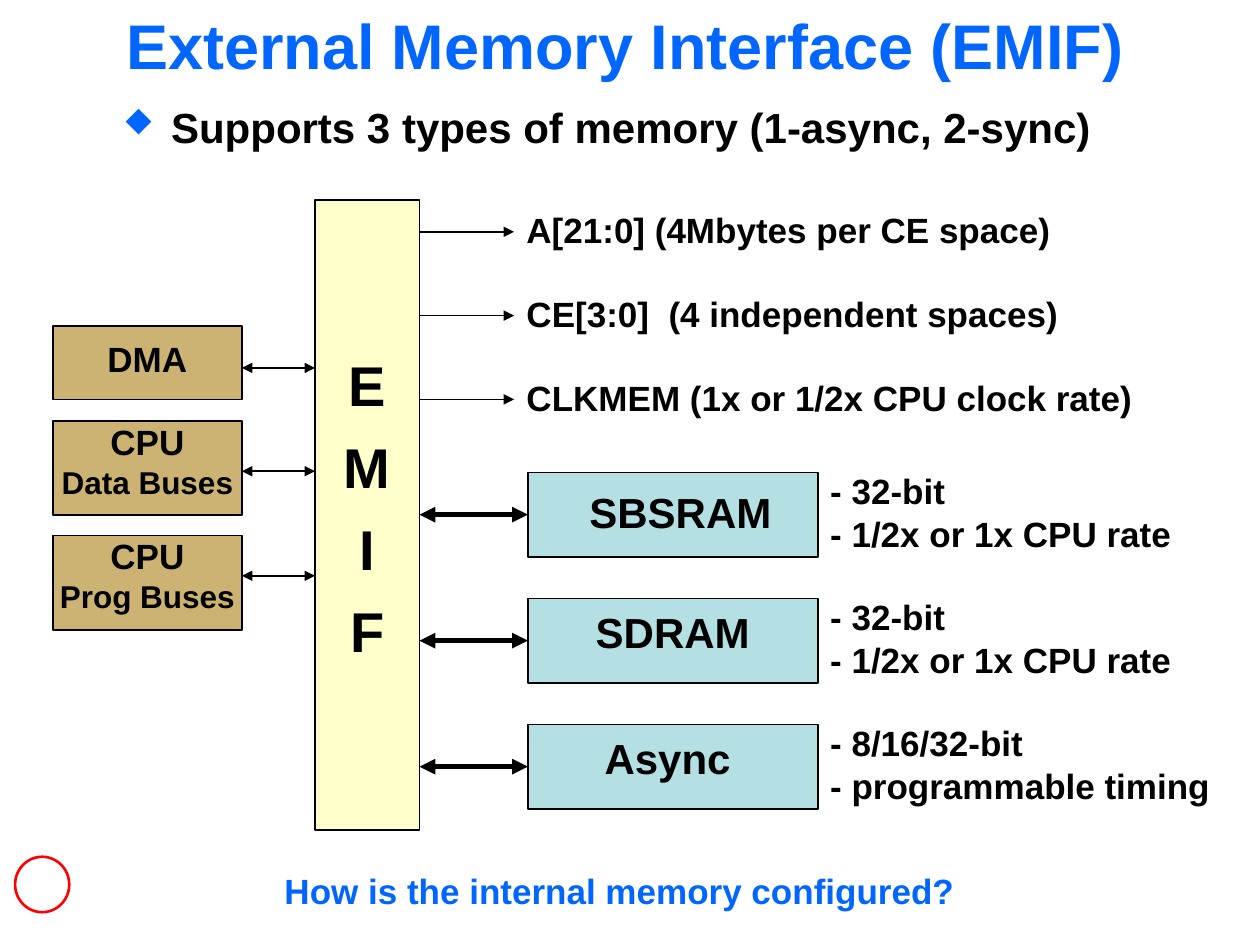
"""Build the External Memory Interface (EMIF) block diagram slide."""
from lxml.etree import SubElement
from pptx import Presentation
from pptx.dml.color import RGBColor
from pptx.enum.shapes import MSO_CONNECTOR as CONN, MSO_SHAPE as SHAPE
from pptx.enum.text import MSO_ANCHOR as ANCHOR, MSO_AUTO_SIZE as FIT, PP_ALIGN as ALIGN
from pptx.oxml.ns import qn
from pptx.util import Inches, Pt

BLUE = RGBColor(0x00, 0x66, 0xFF)
BLACK = RGBColor(0x00, 0x00, 0x00)
WHITE = RGBColor(0xFF, 0xFF, 0xFF)
RED = RGBColor(0xFF, 0x00, 0x00)
TAN = RGBColor(0xCC, 0xB3, 0x74)
CREAM = RGBColor(0xFF, 0xFF, 0xCC)
AQUA = RGBColor(0xB5, 0xE0, 0xE3)

TITLE = "External Memory Interface (EMIF)"
POINT = "Supports 3 types of memory (1-async, 2-sync)"
QUESTION = "How is the internal memory configured?"
BUSES = [
    (["DMA"], 2.59, 0.58, 2.92),
    (["CPU", "Data Buses"], 3.34, 0.75, 3.74),
    (["CPU", "Prog Buses"], 4.25, 0.75, 4.57),
]
SIGNALS = [
    ("A[21:0] (4Mbytes per CE space)", 4.46),
    ("CE[3:0]  (4 independent spaces)", 4.52),
    ("CLKMEM (1x or 1/2x CPU clock rate)", 5.11),
]
MEMORIES = [
    ("SBSRAM", 4.58, 0.14, 1.8, ["- 32-bit", "- 1/2x or 1x CPU rate"], 3.05),
    ("SDRAM", 4.63, 0.09, 1.6, ["- 32-bit", "- 1/2x or 1x CPU rate"], 3.05),
    ("Async", 4.7, 0.09, 1.4, ["- 8/16/32-bit", "- programmable timing"], 3.35),
]

BUS_LEFT, BUS_WIDTH = 0.42, 1.5
EMIF_LEFT, EMIF_TOP, EMIF_WIDTH, EMIF_HEIGHT = 2.5, 1.59, 0.83, 5
EMIF_RIGHT = EMIF_LEFT + EMIF_WIDTH
SIGNAL_LEFT, SIGNAL_TOP, SIGNAL_STEP = 4.08, 1.67, 0.665
MEM_LEFT, MEM_TOP, MEM_WIDTH, MEM_HEIGHT, MEM_STEP = 4.19, 3.75, 2.3, 0.67, 1


def write(sp, lines, sizes=(20,), color=BLACK, align=ALIGN.LEFT, spacing=0.8,
          before=0.625, anchor=ANCHOR.TOP, wrap=False, fit=FIT.NONE):
    tf = sp.text_frame
    tf.word_wrap, tf.auto_size, tf.vertical_anchor = wrap, fit, anchor
    for i, text in enumerate(lines):
        p = tf.paragraphs[0] if i == 0 else tf.add_paragraph()
        size = sizes[min(i, len(sizes) - 1)]
        p.alignment, p.line_spacing = align, spacing
        p.space_before = Pt(size * before)
        r = p.add_run()
        r.text = text
        r.font.name, r.font.size, r.font.bold = "Arial", Pt(size), True
        r.font.color.rgb = color
    return tf


def label(s, lines, left, top, width, height, **fmt):
    sp = s.shapes.add_textbox(*map(Inches, (left, top, width, height)))
    return write(sp, lines, wrap=True, **fmt)


def block(s, left, top, width, height, fill, line=BLACK, weight=1, kind=SHAPE.RECTANGLE):
    sp = s.shapes.add_shape(kind, *map(Inches, (left, top, width, height)))
    sp.shadow.inherit = False
    sp.fill.solid()
    sp.fill.fore_color.rgb = fill
    sp.line.color.rgb = line
    sp.line.width = Pt(weight)
    return sp


def arrow(s, x1, x2, y, weight=1, ends=("a:headEnd", "a:tailEnd")):
    cx = s.shapes.add_connector(CONN.STRAIGHT, *map(Inches, (x1, y, x2, y)))
    cx.line.color.rgb = BLACK
    cx.line.width = Pt(weight)
    for end in ends:
        SubElement(cx.line._get_or_add_ln(), qn(end), type="triangle")
    SubElement(cx._element.spPr, qn("a:effectLst"))
    return cx


def add_bullet(p, char, font, color):
    pPr = p._p.get_or_add_pPr()
    pPr.set("marL", str(Inches(0.38)))
    pPr.set("indent", str(-Inches(0.38)))
    SubElement(SubElement(pPr, qn("a:buClr")), qn("a:srgbClr"), val=str(color))
    SubElement(pPr, qn("a:buSzPct"), val="75000")
    SubElement(pPr, qn("a:buFont"), typeface=font, charset="2")
    SubElement(pPr, qn("a:buChar"), char=char)


def main():
    prs = Presentation()
    prs.slide_width, prs.slide_height = Inches(10), Inches(7.5)
    s = prs.slides.add_slide(prs.slide_layouts[6])

    tf = label(s, [TITLE], 0, 0, 9.92, 0.83, sizes=(36,), color=BLUE,
               align=ALIGN.CENTER, spacing=0.75, before=0, anchor=ANCHOR.MIDDLE)
    tf.margin_left = tf.margin_right = Inches(0.05)
    tf = label(s, [POINT], 0.88, 0.83, 8.1, 0.42, sizes=(24,))
    add_bullet(tf.paragraphs[0], "u", "Wingdings", BLUE)

    for lines, top, height, arrow_y in BUSES:
        sp = block(s, BUS_LEFT, top, BUS_WIDTH, height, TAN)
        write(sp, lines, sizes=(20, 18), align=ALIGN.CENTER, anchor=ANCHOR.MIDDLE,
              spacing=0.5 if len(lines) > 1 else 0.8)
        arrow(s, BUS_LEFT + BUS_WIDTH, EMIF_LEFT, arrow_y)

    sp = block(s, EMIF_LEFT, EMIF_TOP, EMIF_WIDTH, EMIF_HEIGHT, CREAM)
    write(sp, "EMIF", sizes=(32,), align=ALIGN.CENTER, spacing=0.7, anchor=ANCHOR.MIDDLE)

    for i, (text, width) in enumerate(SIGNALS):
        top = SIGNAL_TOP + i * SIGNAL_STEP
        label(s, [text], SIGNAL_LEFT, top, width, 0.37)
        arrow(s, EMIF_RIGHT, SIGNAL_LEFT, top + 0.17, ends=("a:tailEnd",))

    for i, (name, left, drop, width, notes, notes_width) in enumerate(MEMORIES):
        top = MEM_TOP + i * MEM_STEP
        memory = block(s, MEM_LEFT, top, MEM_WIDTH, MEM_HEIGHT, AQUA)
        label(s, [name], left, top + drop, width, 0.42, sizes=(24,))
        label(s, notes, MEM_LEFT + MEM_WIDTH, top + 0.07, notes_width, 0.61, spacing=0.5)
        cx = arrow(s, EMIF_RIGHT, MEM_LEFT, top + MEM_HEIGHT / 2, weight=3)
        cx.end_connect(memory, 1)

    label(s, [QUESTION], 2.16, 6.92, 5.7, 0.37, color=BLUE)
    block(s, 0.12, 6.8, 0.43, 0.44, WHITE, line=RED, weight=1.5, kind=SHAPE.OVAL)
    prs.save("out.pptx")


if __name__ == "__main__":
    main()
